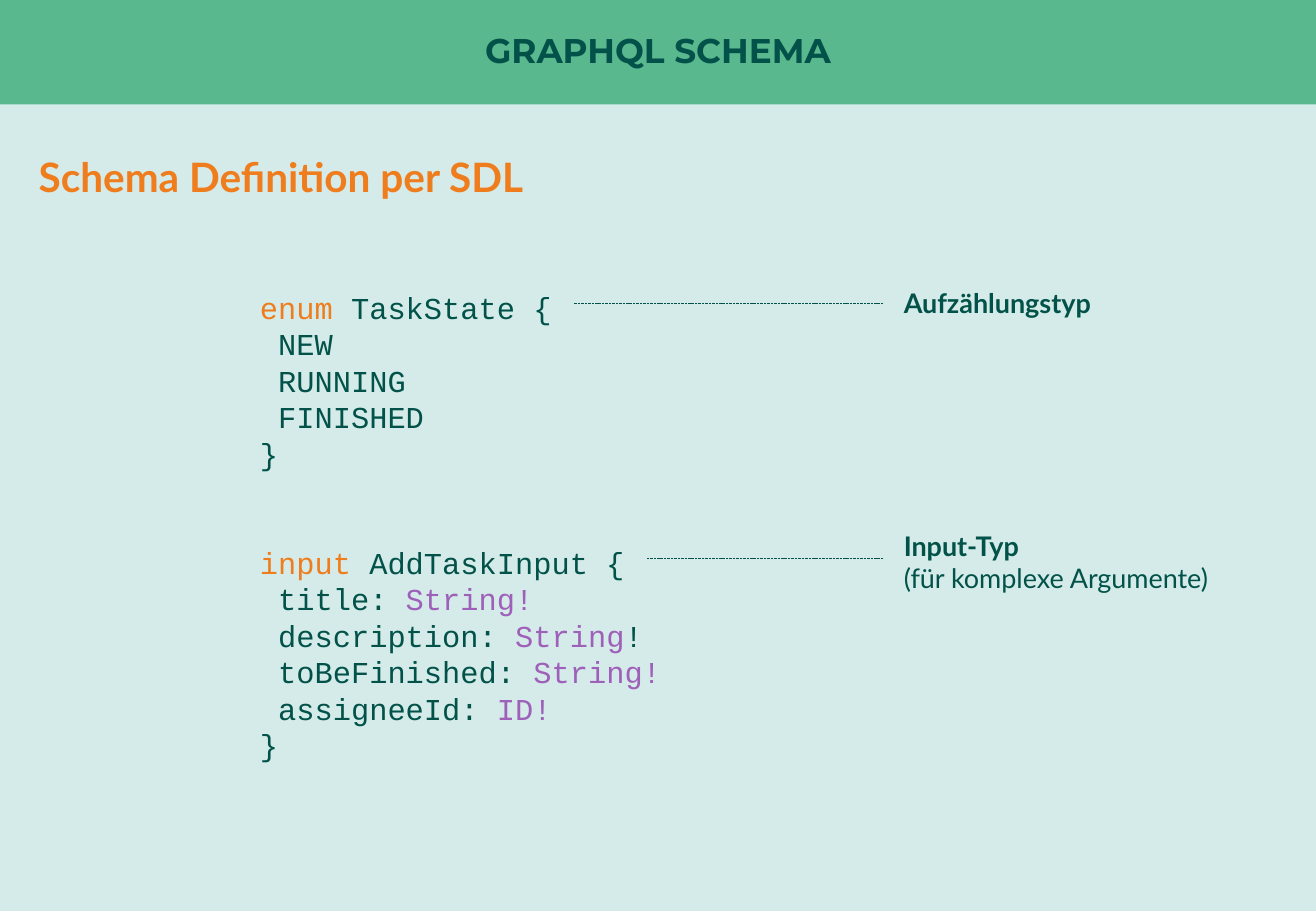
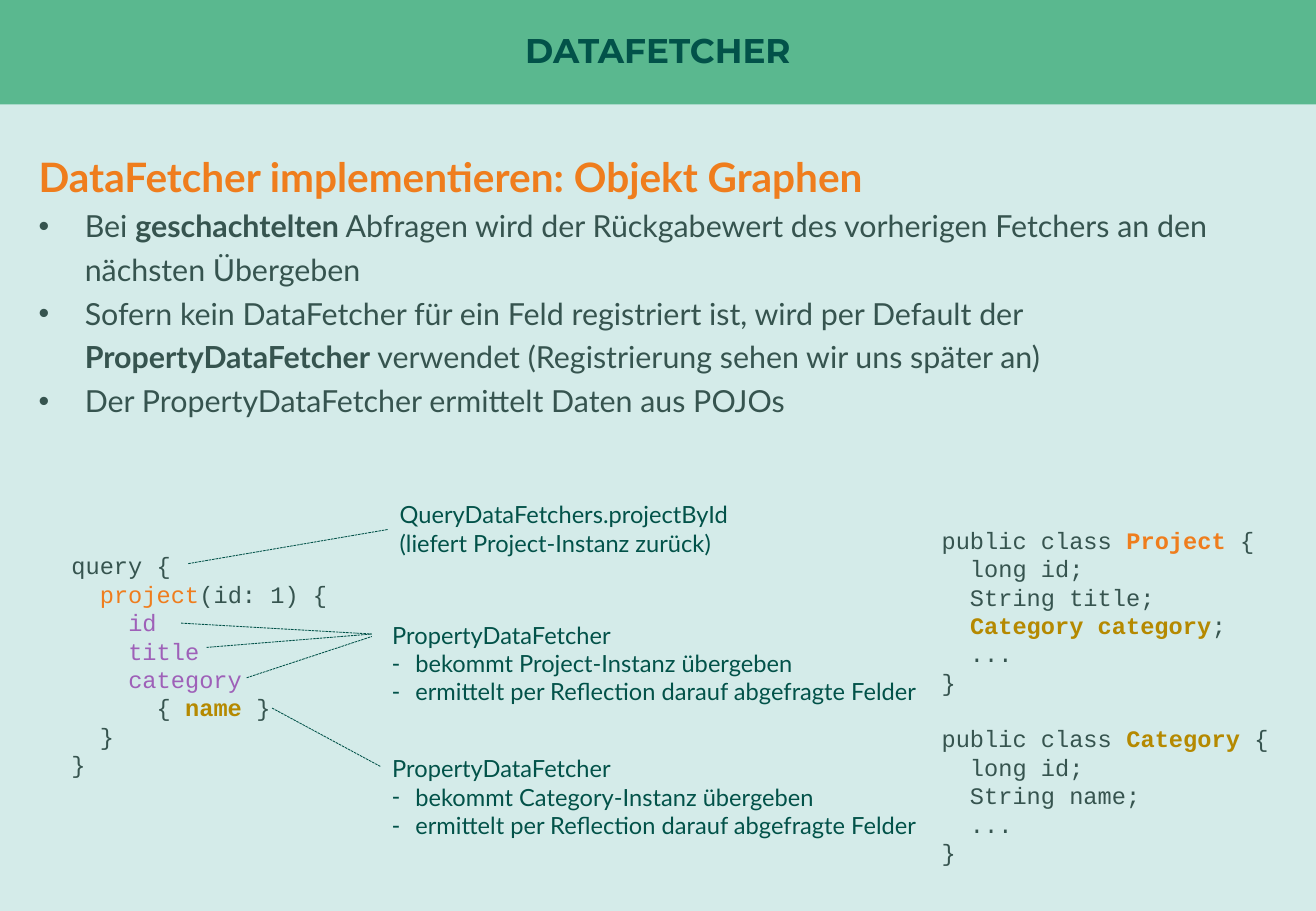
from lxml.etree import SubElement
from pptx import Presentation
from pptx.dml.color import RGBColor
from pptx.enum.dml import MSO_LINE
from pptx.enum.shapes import MSO_CONNECTOR, MSO_SHAPE
from pptx.enum.text import MSO_ANCHOR, PP_ALIGN
from pptx.oxml.ns import qn
from pptx.util import Inches, Pt

COLORS = {
    "ground": "D4EBE9",
    "band": "5AB88F",
    "dark": "025249",
    "gray": "36544F",
    "orange": "EF7D1D",
    "purple": "9E60B8",
    "gold": "B58900",
}
TITLE_FONT, TEXT_FONT, CODE_FONT = "Montserrat", "Lato", "Courier New"
WIDTH, HEIGHT = Inches(10.83), Inches(7.5)
MARGIN = 2.03        # all places are percentages of the slide's size
CODE_LEADING = 1.2   # line height as a multiple of the text size
CHAR_WIDTH = 0.6     # width of a code letter, same measure
INSET = Inches(0.1)


def color(name):
    return RGBColor.from_string(COLORS[name])


def across(share):
    return round(WIDTH * share / 100)


def down(share):
    return round(HEIGHT * share / 100)


def write(para, parts, font, size, tone, bold=False):
    """Fill a paragraph; a part is a string or (text, tone, bold)."""
    for part in [parts] if isinstance(parts, str) else parts:
        text, part_tone, part_bold = (part, tone, bold) if isinstance(part, str) else part
        span = para.add_run()
        span.text = text
        span.font.name = font
        span.font.size = Pt(size)
        span.font.bold = part_bold
        span.font.color.rgb = color(part_tone)


def add_bullet(para, sign, indent):
    props = para._p.get_or_add_pPr()
    props.set("marL", str(Inches(indent)))
    props.set("indent", str(-Inches(indent)))
    SubElement(props, qn("a:buFont")).set("typeface", "Arial")
    SubElement(props, qn("a:buChar")).set("char", sign)


def add_text(page, area, lines, font, size, tone, bold=False,
             spacing=None, bullet=None, first_bullet=0):
    """Place lines in area; bullet is (sign, indent) from line first_bullet on."""
    left, top, width, height = area
    box = page.shapes.add_textbox(across(left), down(top), across(width), down(height))
    frame = box.text_frame
    frame.word_wrap = True
    for index, parts in enumerate(lines):
        para = frame.add_paragraph() if index else frame.paragraphs[0]
        if bullet and index >= first_bullet:
            add_bullet(para, *bullet)
        if spacing:
            para.line_spacing = spacing
        write(para, parts, font, size, tone, bold)


def row_height(size):
    return Pt(size * CODE_LEADING) / HEIGHT * 100


def add_code(page, left, top, width, lines, size, tone):
    height = len(lines) * row_height(size) + 1.33
    add_text(page, (left, top, width, height), lines, CODE_FONT, size, tone,
             spacing=Pt(size * CODE_LEADING))


def add_leader(page, start, end):
    line = page.shapes.add_connector(
        MSO_CONNECTOR.STRAIGHT,
        across(start[0]), down(start[1]), across(end[0]), down(end[1]))
    line.line.color.rgb = color("dark")
    line.line.width = Pt(0.5)
    line.line.dash_style = MSO_LINE.SQUARE_DOT
    SubElement(line._element.spPr, qn("a:effectLst"))


def add_page(deck, title, heading):
    page = deck.slides.add_slide(deck.slide_layouts[6])
    page.background.fill.solid()
    page.background.fill.fore_color.rgb = color("ground")
    band = page.shapes.add_shape(MSO_SHAPE.RECTANGLE, 0, 0, WIDTH, down(11.47))
    band.shadow.inherit = False
    band.fill.solid()
    band.fill.fore_color.rgb = color("band")
    band.line.fill.background()
    frame = band.text_frame
    frame.margin_left = frame.margin_top = frame.margin_right = frame.margin_bottom = 0
    frame.vertical_anchor = MSO_ANCHOR.MIDDLE
    para = frame.paragraphs[0]
    para.alignment = PP_ALIGN.CENTER
    para.line_spacing = 0.9
    write(para, title, TITLE_FONT, 20.3, "dark", True)
    add_text(page, (MARGIN, 14.93, 95.9, 7.33), [heading], TEXT_FONT, 24, "orange",
             bold=True, spacing=1.2)
    return page


def schema_type(page, left, top, code, note, note_rise):
    """Code of one type, with a leader from its first line to a note."""
    size = 18
    add_code(page, left, top, 45, code, size, "dark")
    letters = sum(len(part if isinstance(part, str) else part[0]) for part in code[0])
    code_end = left + (INSET + Pt(size * CHAR_WIDTH) * (letters + 1.2)) / WIDTH * 100
    note_left, leader_top = left + 48.93, top + 2.2
    add_leader(page, (note_left - 0.64, leader_top), (code_end, leader_top))
    add_text(page, (note_left, top - note_rise, 29.55, 8.5), note, TEXT_FONT, 16, "dark")


def schema_page(deck):
    page = add_page(deck, "GRAPHQL SCHEMA", "Schema Definition per SDL")
    left, top = 18.84, 31.07
    enum_code = [
        [("enum ", "orange", False), "TaskState {"],
        " NEW", " RUNNING", " FINISHED", "}",
    ]
    string_type = ("String!", "purple", False)
    input_code = [
        [("input ", "orange", False), "AddTaskInput {"],
        [" title: ", string_type],
        [" description: ", ("String", "purple", False), "!"],
        [" toBeFinished: ", string_type],
        [" assigneeId: ", ("ID!", "purple", False)],
        "}",
    ]
    schema_type(page, left, top, enum_code, [[("Aufzählungstyp", "dark", True)]], 0.27)
    schema_type(page, left, top + 7 * row_height(18), input_code,
                [[("Input-Typ", "dark", True)], "(für komplexe Argumente)"], 1.6)


def query_graph(page, left, top):
    """Query code, with leaders to the fetchers that answer it."""
    code = [
        "query {",
        ["  ", ("project", "orange", False), "(id: 1) {"],
        ["    ", ("id", "purple", False)],
        ["    ", ("title", "purple", False)],
        ["    ", ("category", "purple", False)],
        ["      { ", ("name", "gold", True), " }"],
        "  }",
        "}",
    ]
    add_code(page, left, top, 25, code, 14, "gray")
    add_text(page, (left + 24.94, top - 5.6, 37.3, 7.6),
             ["QueryDataFetchers.projectById", "(liefert Project-Instanz zurück)"],
             TEXT_FONT, 14, "dark")
    for name, note_top in (("Project", 7.6), ("Category", 22.26)):
        add_text(page, (left + 24.38, top + note_top, 41.74, 10.8),
                 ["PropertyDataFetcher", f"bekommt {name}-Instanz übergeben",
                  "ermittelt per Reflection darauf abgefragte Felder"],
                 TEXT_FONT, 14, "dark", bullet=("-", 0.19), first_bullet=1)
    leaders = [
        ((9.79, 2), (24.94, -1.74)),
        ((9.24, 8.53), (23.73, 9.73)),
        ((11.18, 11.2), (23.73, 9.73)),
        ((14.22, 14.53), (23.73, 10)),
        ((16.16, 17.86), (24.38, 24.26)),
    ]
    for ends in leaders:
        add_leader(page, *((left + x, top + y) for x, y in ends))


def class_list(page, left, top):
    classes = [
        [["public class ", ("Project", "orange", True), " {"],
         "  long id;", "  String title;",
         ["  ", ("Category category", "gold", True), ";"], "  ...", "}"],
        [["public class ", ("Category", "gold", True), " {"],
         "  long id;", "  String name;", "  ...", "}"],
    ]
    for code in classes:
        add_code(page, left, top, 28.62, code, 14, "gray")
        top += (len(code) + 1) * row_height(14)


def fetcher_page(deck):
    page = add_page(deck, "DATAFETCHER", "DataFetcher implementieren: Objekt Graphen")
    points = [
        ["Bei ", ("geschachtelten", "gray", True),
         " Abfragen wird der Rückgabewert des vorherigen Fetchers an den nächsten Übergeben"],
        ["Sofern kein DataFetcher für ein Feld registriert ist, wird per Default der ",
         ("PropertyDataFetcher", "gray", True),
         " verwendet (Registrierung sehen wir uns später an)"],
        "Der PropertyDataFetcher ermittelt Daten aus POJOs",
    ]
    add_text(page, (MARGIN, 21.33, 94.74, 30.13), points, TEXT_FONT, 18, "gray",
             spacing=1.2, bullet=("•", 0.38))
    query_graph(page, 4.52, 59.87)
    class_list(page, 70.64, 57.07)


def main():
    deck = Presentation()
    deck.slide_width, deck.slide_height = WIDTH, HEIGHT
    schema_page(deck)
    fetcher_page(deck)
    deck.save("out.pptx")


if __name__ == "__main__":
    main()
